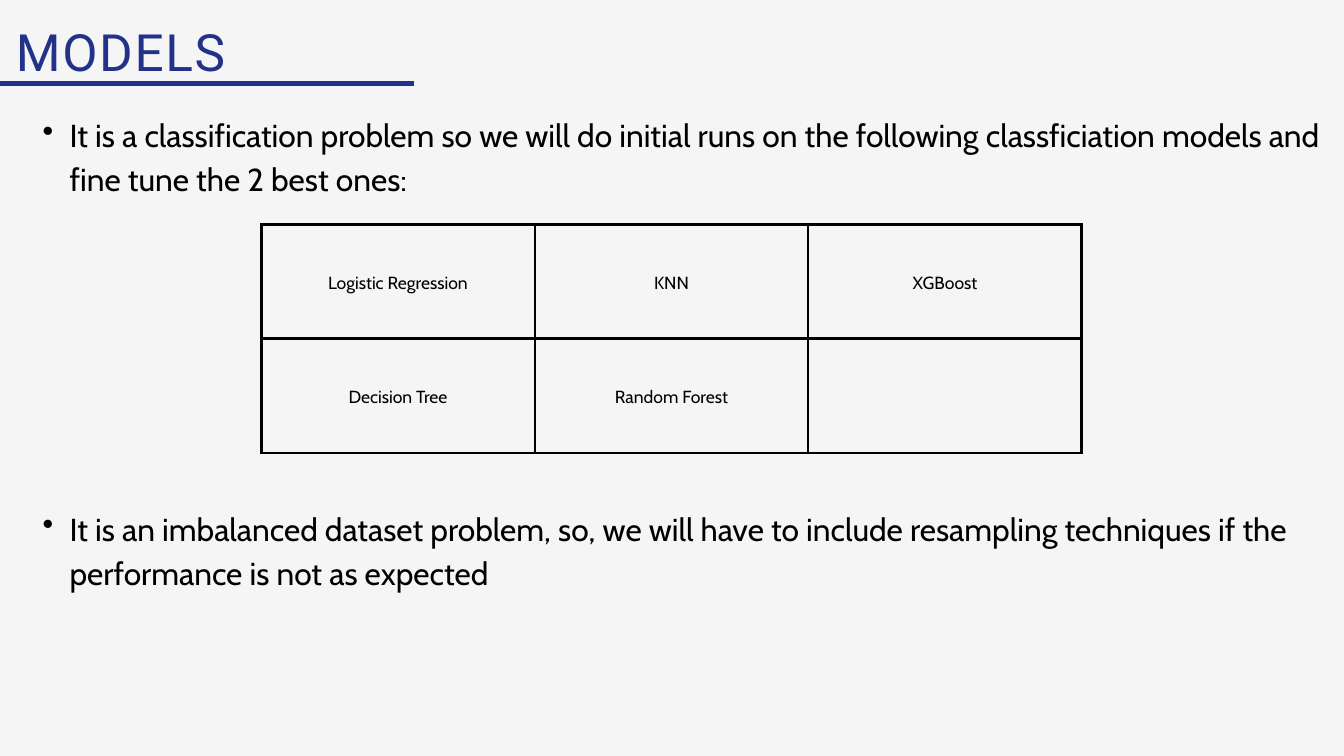
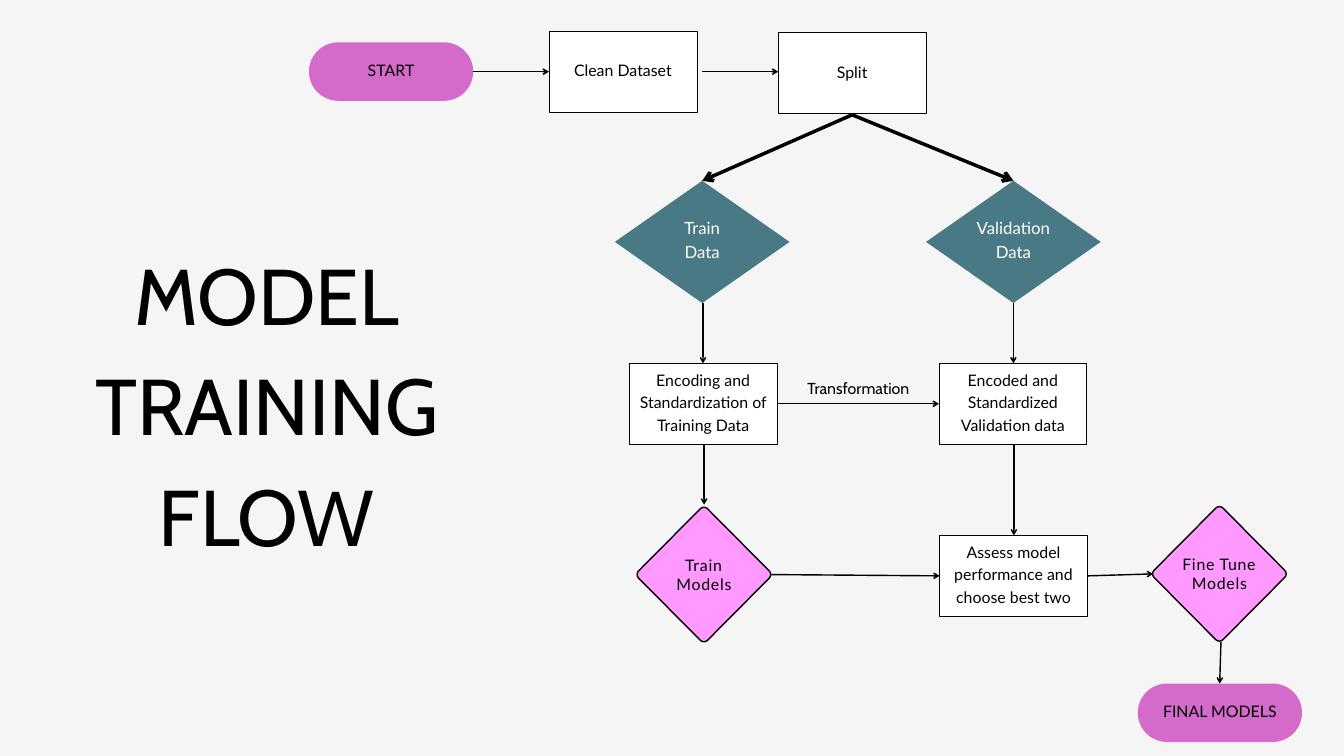
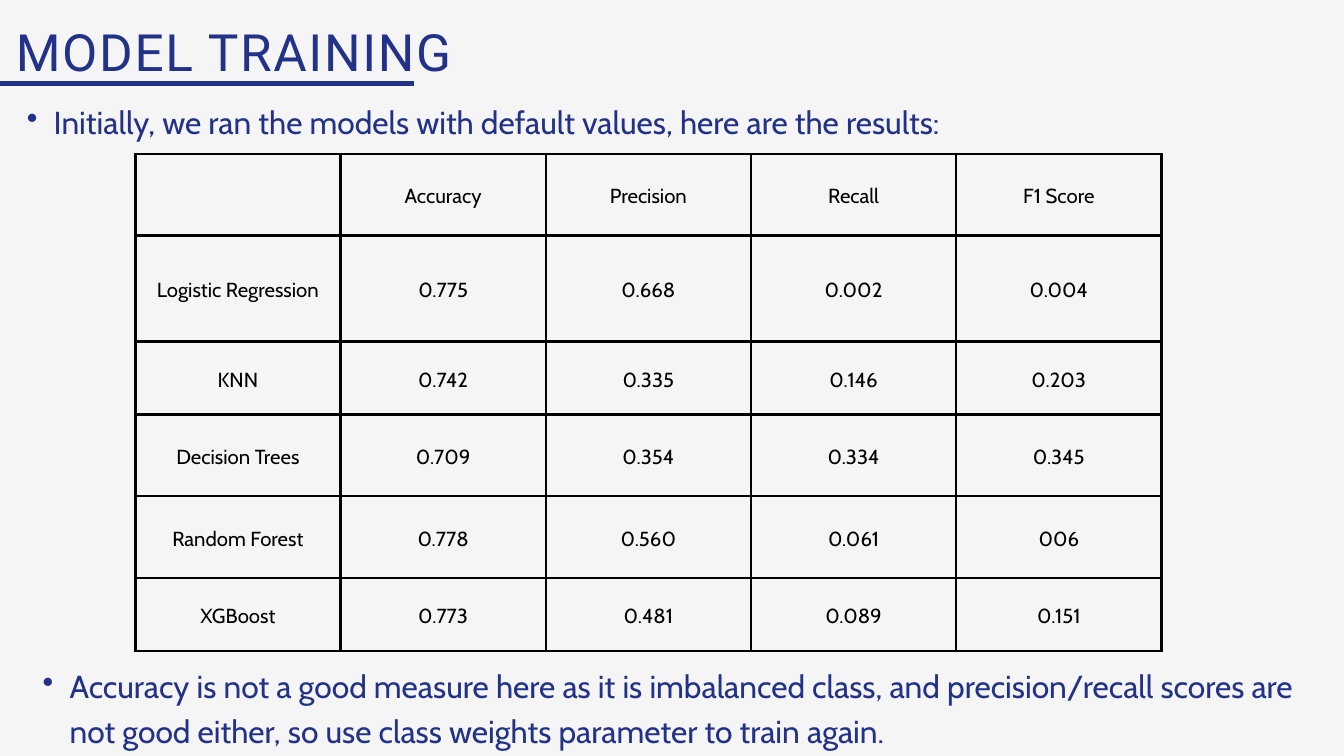
from math import cos, radians, sin

from lxml.etree import SubElement
from pptx import Presentation
from pptx.dml.color import RGBColor
from pptx.enum.shapes import MSO_CONNECTOR, MSO_SHAPE
from pptx.enum.text import MSO_ANCHOR, PP_ALIGN
from pptx.oxml.ns import qn
from pptx.util import Pt

NAVY = RGBColor(0x22, 0x32, 0x89)
BLACK = RGBColor(0, 0, 0)
WHITE = RGBColor(255, 255, 255)
PAPER = RGBColor(0xF5, 0xF5, 0xF5)
ORCHID = RGBColor(0xD4, 0x6B, 0xCA)
PINK = RGBColor(0xFF, 0x99, 0xFF)
TEAL = RGBColor(0x48, 0x79, 0x84)


def write(frame, text, size=17, color=BLACK, face="Cabin", lead=1.4,
          align=PP_ALIGN.CENTER, track=0, bullet=False, pad=(0, 0, 0, 0)):
    """Fill a frame; lead is a multiple of size, pad is left, top, right, bottom."""
    if pad:
        frame.word_wrap = True
        (frame.margin_left, frame.margin_top,
         frame.margin_right, frame.margin_bottom) = map(Pt, pad)
    for i, line in enumerate(text.split("\n")):
        para = frame.add_paragraph() if i else frame.paragraphs[0]
        if bullet:
            props = para._p.get_or_add_pPr()
            props.set("marL", str(Pt(57.6)))
            props.set("indent", str(Pt(-28.8)))
            SubElement(props, qn("a:buChar")).set("char", "•")
        para.alignment = align
        para.line_spacing = Pt(size * lead)
        run = para.add_run()
        run.text = line
        run.font.size = Pt(size)
        run.font.name = face
        run.font.color.rgb = color
        if track:
            run._r.get_or_add_rPr().set("spc", str(round(track * 100)))


def link(slide, x1, y1, x2, y2, width=1.5, color=BLACK, arrow=True):
    line = slide.shapes.add_connector(
        MSO_CONNECTOR.STRAIGHT, Pt(x1), Pt(y1), Pt(x2), Pt(y2))
    line.line.color.rgb = color
    line.line.width = Pt(width)
    if arrow:
        SubElement(line.line._get_or_add_ln(), qn("a:tailEnd")).set("type", "arrow")
    SubElement(line._element.spPr, qn("a:effectLst"))


deck = Presentation()
deck.slide_width, deck.slide_height = Pt(1440), Pt(810)
slides = [deck.slides.add_slide(deck.slide_layouts[6]) for _ in range(3)]
for slide in slides:
    slide.background.fill.solid()
    slide.background.fill.fore_color.rgb = PAPER
models, flow, train = slides

# Table slides: title, title width, table place, column width, row heights,
# cell text size, cells, bullet colour, bullets with their places
pages = [
    (models, "MODELS", 336, (280, 240.5), 293, [122.4] * 2, 18.8,
     [["Logistic Regression", "KNN", "XGBoost"],
      ["Decision Tree", "Random Forest", ""]],
     BLACK,
     [(17, 117, 1423, 93, "It is a classification problem so we will do initial runs on "
       "the following classficiation models and fine tune the 2 best ones:"),
      (17, 539, 1423, 93, "It is an imbalanced dataset problem, so, we will have to "
       "include resampling techniques if the performance is not as expected")]),
    (train, "MODEL TRAINING", 612, (145, 165), 219.9,
     [87.4, 113.4, 78.5, 87.4, 87.4, 78.5], 21.8,
     [["", "Accuracy", "Precision", "Recall", "F1 Score"],
      ["Logistic Regression", "0.775", "0.668", "0.002", "0.004"],
      ["KNN", "0.742", "0.335", "0.146", "0.203"],
      ["Decision Trees", "0.709", "0.354", "0.334", "0.345"],
      ["Random Forest", "0.778", "0.560", "0.061", "006"],
      ["XGBoost", "0.773", "0.481", "0.089", "0.151"]],
     NAVY,
     [(0, 103, 1313, 46, "Initially, we ran the models with default values, "
       "here are the results:"),
      (17, 708, 1393, 93, "Accuracy is not a good measure here as it is imbalanced class, "
       "and precision/recall scores are not good either, so use class weights "
       "parameter to train again.")]),
]
for slide, title, wide, (left, top), col, rows, size, cells, tone, notes in pages:
    box = slide.shapes.add_textbox(Pt(17), Pt(27.4), Pt(wide), Pt(62))
    write(box.text_frame, title, 55, NAVY, "Roboto", 1.1, PP_ALIGN.JUSTIFY, 1.8)
    link(slide, 443.5, 89.3, 0, 89.3, 6, NAVY, arrow=False)

    count = len(cells[0])
    grid = slide.shapes.add_table(len(rows), count, Pt(left), Pt(top),
                                  Pt(col * count), Pt(sum(rows))).table
    grid.first_row = grid.horz_banding = False
    for column in grid.columns:
        column.width = Pt(col)
    for r, high in enumerate(rows):
        grid.rows[r].height = Pt(high)
        for c, text in enumerate(cells[r]):
            cell = grid.cell(r, c)
            cell.vertical_anchor = MSO_ANCHOR.MIDDLE
            cell.margin_left = cell.margin_right = Pt(15)
            cell.margin_top = cell.margin_bottom = Pt(15)
            cell.fill.background()
            props = cell._tc.get_or_add_tcPr()
            for i, side in enumerate("LRTB"):
                edge = SubElement(props, qn("a:ln" + side), w=str(Pt(3)))
                fill = SubElement(edge, qn("a:solidFill"))
                SubElement(fill, qn("a:srgbClr")).set("val", str(BLACK))
                props.insert(i, edge)
            if text:
                write(cell.text_frame, text, size, pad=None)

    for x, y, w, h, text in notes:
        box = slide.shapes.add_textbox(Pt(x), Pt(y), Pt(w), Pt(h))
        write(box.text_frame, text, 34, tone, align=PP_ALIGN.LEFT, bullet=True)

# Flow chart: each kind has shape, width, height, fill, line width and text format
LABEL = dict(face="Lato", pad=(4, 4, 4, 10))
kinds = {
    "end": (MSO_SHAPE.ROUNDED_RECTANGLE, 176, 62.6, ORCHID, 0, LABEL),
    "step": (MSO_SHAPE.RECTANGLE, 158.5, 86.5, WHITE, 0.75, LABEL),
    "data": (MSO_SHAPE.DIAMOND, 187.2, 131, TEAL, 0,
             dict(face="Lato", size=18, color=WHITE, pad=(0, 0, 0, 8))),
    "model": (None, 143, 144, PINK, 1.5,
              dict(face="Lato", lead=1.2, track=0.8, pad=(28, 4, 28, 4))),
}
nodes = [
    ("end", 331, 45.4, "START"),
    ("step", 588.2, 33.4, "Clean Dataset"),
    ("step", 833.8, 35, "Split"),
    ("data", 658.8, 193.7, "Train\nData"),
    ("data", 992.2, 193.7, "Validation Data"),
    ("step", 674.2, 389.3, "Encoding and Standardization of Training Data"),
    ("step", 1006, 389.3, "Encoded and Standardized Validation data"),
    ("model", 682.7, 543.6, "Train Models"),
    ("step", 1006.7, 573.6, "Assess model performance and choose best two"),
    ("model", 1235, 542.9, "Fine Tune Models"),
    ("end", 1219, 732.4, "FINAL MODELS"),
]
BEND = 5.6  # corner radius of the model diamonds
for kind, x, y, text in nodes:
    form, w, h, fill, edge, style = kinds[kind]
    if form is None:
        dots = []
        for turn in range(0, 360, 90):
            for swing in range(-45, 46, 15):
                a, b = radians(turn), radians(turn + swing)
                dots.append((Pt(x + w / 2 + (w / 2 - BEND) * cos(a) + BEND * cos(b)),
                             Pt(y + h / 2 + (h / 2 - BEND) * sin(a) + BEND * sin(b))))
        pen = flow.shapes.build_freeform(*dots[0])
        pen.add_line_segments(dots[1:])
        node = pen.convert_to_shape()
    else:
        node = flow.shapes.add_shape(form, Pt(x), Pt(y), Pt(w), Pt(h))
    if kind == "end":
        node.adjustments[0] = 0.5
    node.shadow.inherit = False
    node.fill.solid()
    node.fill.fore_color.rgb = fill
    if edge:
        node.line.color.rgb = BLACK
        node.line.width = Pt(edge)
    else:
        node.line.fill.background()
    node.text_frame.vertical_anchor = MSO_ANCHOR.MIDDLE
    write(node.text_frame, text, **style)

for ends in [
    (507, 76.8, 588.2, 76.8),
    (752.4, 76.8, 833.8, 76.8),
    (913, 123, 1085.8, 193.7, 3.75),
    (913, 123, 752.4, 193.7, 3.75),
    (753.2, 324.7, 753.2, 389.3),
    (1085.8, 324.7, 1085.8, 389.3),
    (832.8, 432.6, 1006, 432.6),
    (754.4, 475.8, 754.4, 540.7),
    (1086.3, 475.8, 1086.3, 573.6),
    (825.3, 615.6, 1006.7, 617),
    (1165.5, 617, 1235.4, 614.9),
    (1308.2, 687.5, 1306.8, 732.4),
]:
    link(flow, *ends)

box = flow.shapes.add_textbox(Pt(856), Pt(402.5), Pt(127.5), Pt(22.3))
write(box.text_frame, "Transformation")
box = flow.shapes.add_textbox(Pt(-8), Pt(247), Pt(587.5), Pt(350))
write(box.text_frame, "MODEL TRAINING FLOW", 84.6)

deck.save("out.pptx")
